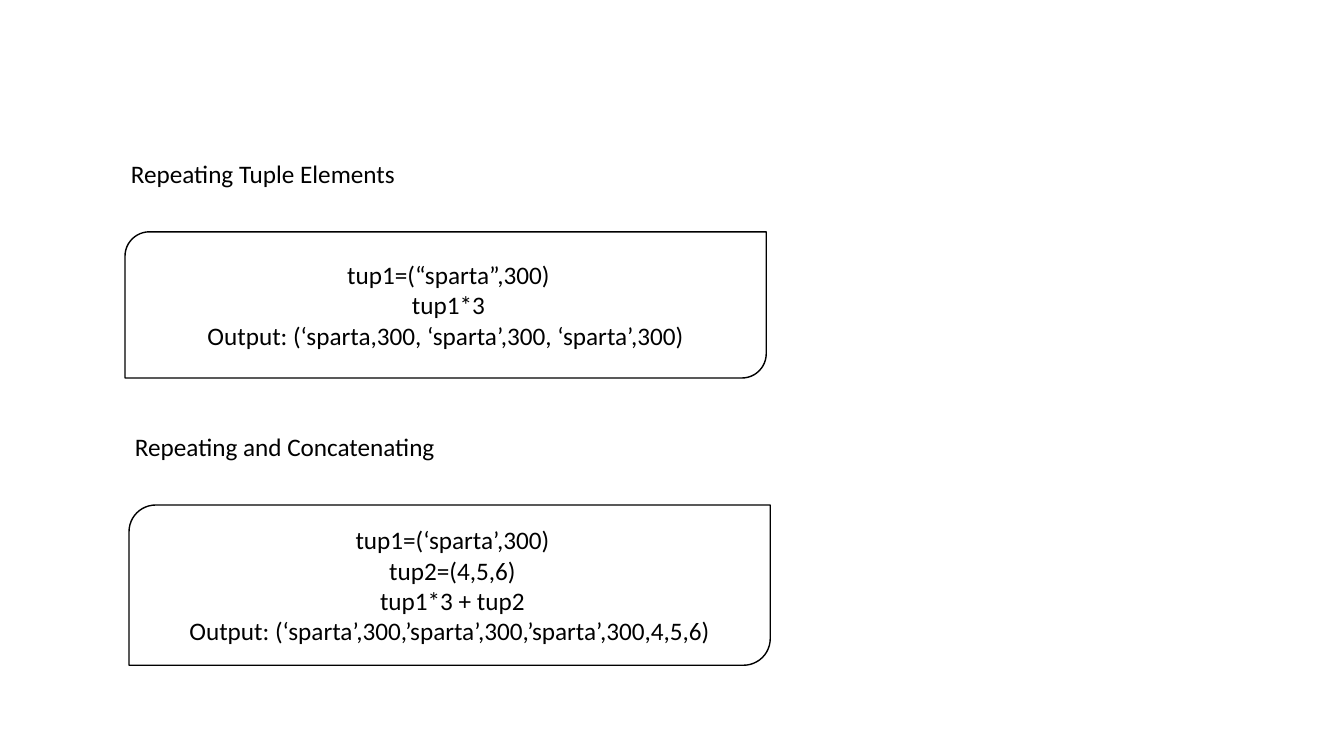
from pptx import Presentation
from pptx.dml.color import RGBColor
from pptx.enum.shapes import MSO_SHAPE
from pptx.enum.text import MSO_ANCHOR, MSO_AUTO_SIZE, PP_ALIGN
from pptx.util import Inches, Pt

BLACK = RGBColor(0, 0, 0)
WHITE = RGBColor(255, 255, 255)
CARD = MSO_SHAPE.ROUND_2_DIAG_RECTANGLE
MIDDLE = MSO_ANCHOR.MIDDLE
LEFT, CENTER = PP_ALIGN.LEFT, PP_ALIGN.CENTER
FIT = MSO_AUTO_SIZE.SHAPE_TO_FIT_TEXT
FONT = {"name": "Calibri", "size": Pt(18)}

# Lengths on the slide, in inches
WIDE, HIGH = 13.33, 7.5
CARD_W = 6.36
LABEL_H = 0.4
INDENT, DROP = 0.04, 0.78  # from a label's corner to its card's corner

# Label, left, top, label width, card height, code lines
PARTS = [
    ("Repeating Tuple Elements", 1.2, 1.52, 2.85, 1.45,
     [" tup1=(“sparta”,300)",
      " tup1*3",
      "Output: (‘sparta,300, ‘sparta’,300, ‘sparta’,300)"]),
    ("Repeating and Concatenating", 1.24, 4.23, 3.22, 1.59,
     [" tup1=(‘sparta’,300)",
      " tup2=(4,5,6)",
      " tup1*3 + tup2",
      "Output: (‘sparta’,300,’sparta’,300,’sparta’,300,4,5,6)"]),
]


def write(frame, lines, align):
    """Fill a text frame with one paragraph per line."""
    for i, line in enumerate(lines):
        para = frame.add_paragraph() if i else frame.paragraphs[0]
        para.alignment = align
        run = para.add_run()
        run.text = line
        for key, value in FONT.items():
            setattr(run.font, key, value)
        run.font.color.rgb = BLACK


def add_label(slide, text, *box):
    frame = slide.shapes.add_textbox(*map(Inches, box)).text_frame
    frame.word_wrap = False
    frame.auto_size = FIT
    write(frame, [text], LEFT)


def add_card(slide, lines, *box):
    card = slide.shapes.add_shape(CARD, *map(Inches, box))
    card.shadow.inherit = False
    card.fill.solid()
    card.fill.fore_color.rgb = WHITE
    card.line.color.rgb = BLACK
    card.line.width = Pt(1)
    card.text_frame.word_wrap = True
    card.text_frame.vertical_anchor = MIDDLE
    write(card.text_frame, lines, CENTER)


def main():
    deck = Presentation()
    deck.slide_width, deck.slide_height = Inches(WIDE), Inches(HIGH)
    slide = deck.slides.add_slide(deck.slide_layouts[6])

    # Each part is a label with a code card below it
    for label, left, top, width, height, code in PARTS:
        add_label(slide, label, left, top, width, LABEL_H)
        add_card(slide, code, left + INDENT, top + DROP, CARD_W, height)

    deck.save("out.pptx")


if __name__ == "__main__":
    main()
